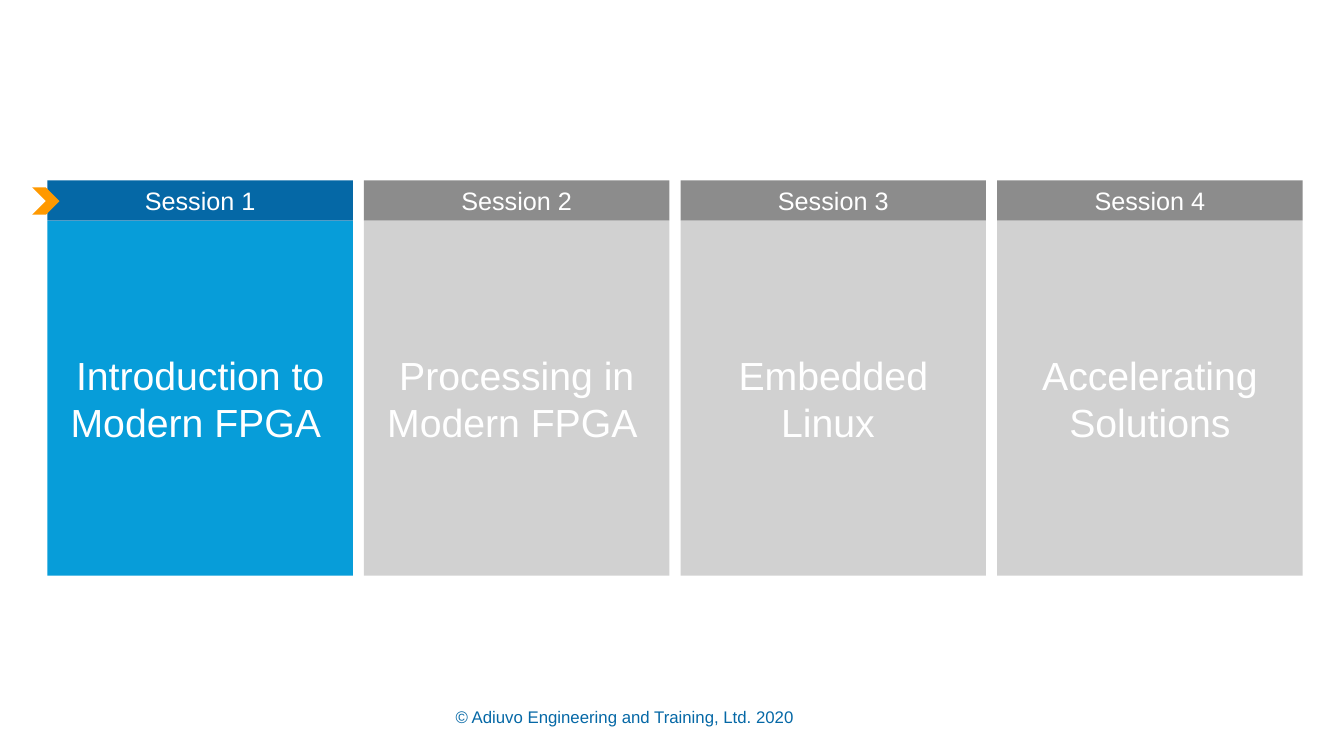
from pptx import Presentation
from pptx.dml.color import RGBColor
from pptx.enum.shapes import MSO_SHAPE
from pptx.enum.text import MSO_ANCHOR, PP_ALIGN
from pptx.util import Inches, Pt

COLORS = {
    "dark_blue": "0568A6",
    "bright_blue": "079DD9",
    "dark_gray": "8C8C8C",
    "light_gray": "D1D1D1",
    "orange": "FF9900",
    "white": "FFFFFF",
}
SESSIONS = [
    "Introduction to Modern FPGA ",
    "Processing in Modern FPGA ",
    "Embedded Linux ",
    "Accelerating Solutions",
]
ACTIVE_SESSION = 1
CARD_LEFT, CARD_TOP = 0.47, 1.79
CARD_WIDTH, CARD_GAP = 3.03, 0.11
HEADER_HEIGHT, BODY_HEIGHT = 0.4, 3.52


def add_filled_shape(kind, left, top, width, height, color):
    shape = slide.shapes.add_shape(
        kind, Inches(left), Inches(top), Inches(width), Inches(height)
    )
    shape.shadow.inherit = False
    shape.fill.solid()
    shape.fill.fore_color.rgb = RGBColor.from_string(COLORS[color])
    shape.line.fill.background()
    return shape


def write_text(shape, text, size, color, alignment):
    frame = shape.text_frame
    frame.word_wrap = True
    frame.vertical_anchor = MSO_ANCHOR.MIDDLE
    paragraph = frame.paragraphs[0]
    paragraph.alignment = alignment
    run = paragraph.add_run()
    run.text = text
    run.font.name = "Arial"
    run.font.size = Pt(size)
    run.font.color.rgb = RGBColor.from_string(COLORS[color])


presentation = Presentation()
presentation.slide_width = Inches(13.33)
presentation.slide_height = Inches(7.5)
slide = presentation.slides.add_slide(presentation.slide_layouts[6])

copyright_box = slide.shapes.add_textbox(
    Inches(4.42), Inches(6.91), Inches(4.5), Inches(0.4)
)
write_text(
    copyright_box,
    "© Adiuvo Engineering and Training, Ltd. 2020",
    12,
    "dark_blue",
    PP_ALIGN.LEFT,
)

for number, topic in enumerate(SESSIONS, start=1):
    left = CARD_LEFT + (number - 1) * (CARD_WIDTH + CARD_GAP)
    active = number == ACTIVE_SESSION
    header_color = "dark_blue" if active else "dark_gray"
    body_color = "bright_blue" if active else "light_gray"
    header = add_filled_shape(
        MSO_SHAPE.RECTANGLE, left, CARD_TOP, CARD_WIDTH, HEADER_HEIGHT, header_color
    )
    write_text(header, f"Session {number}", 18, "white", PP_ALIGN.CENTER)
    body = add_filled_shape(
        MSO_SHAPE.RECTANGLE,
        left,
        CARD_TOP + HEADER_HEIGHT,
        CARD_WIDTH,
        BODY_HEIGHT,
        body_color,
    )
    write_text(body, topic, 28, "white", PP_ALIGN.CENTER)

add_filled_shape(MSO_SHAPE.CHEVRON, 0.32, 1.86, 0.27, 0.27, "orange")

presentation.save("out.pptx")
